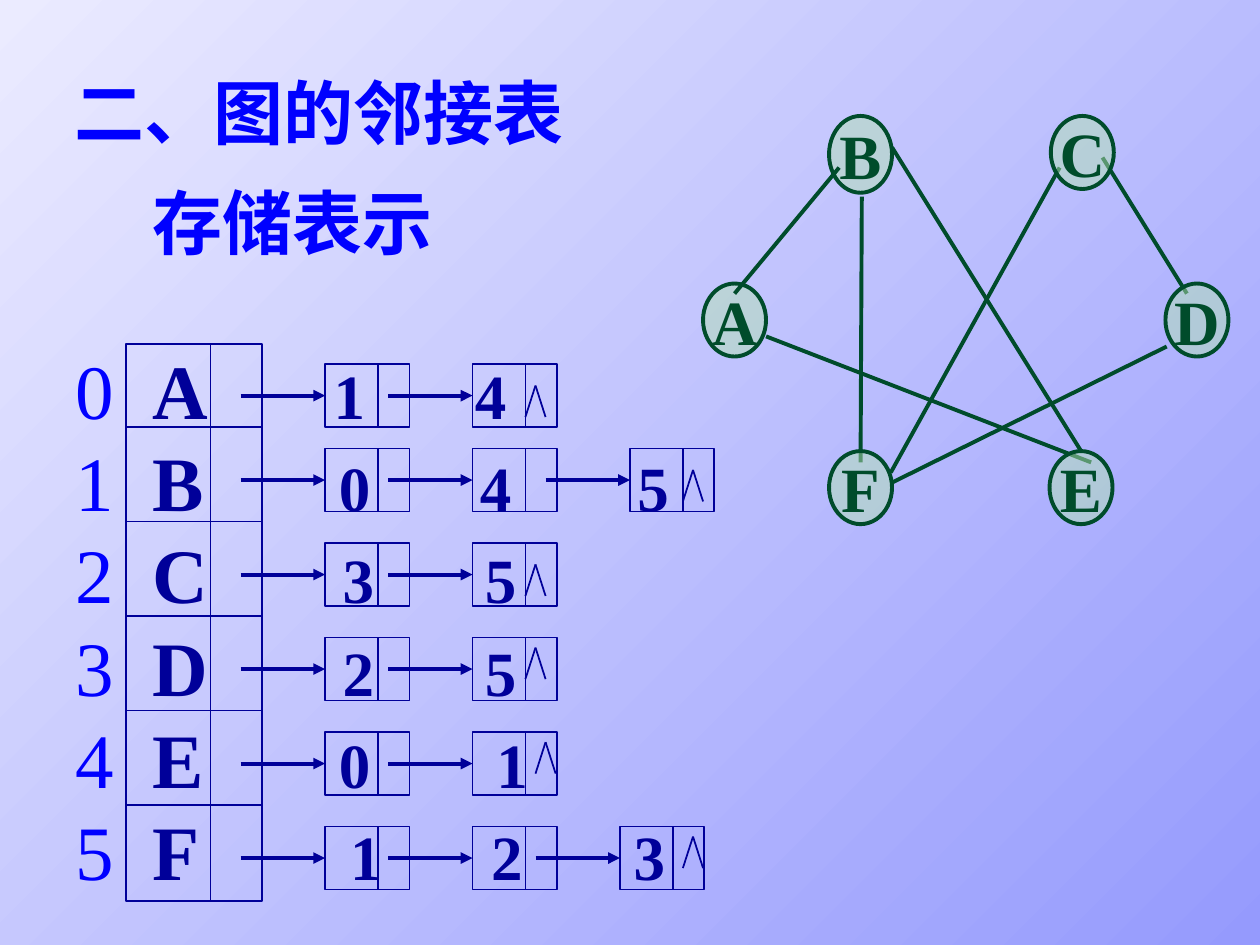
from dataclasses import dataclass

from lxml import etree
from pptx import Presentation
from pptx import util as u
from pptx.dml.color import RGBColor
from pptx.enum import shapes, text
from pptx.oxml.ns import qn


@dataclass(frozen=True)
class Theme:
    font: str = "Times New Roman"
    blue: str = "0000FF"
    navy: str = "000099"
    green: str = "004C2B"
    mint: str = "B3E1B3"
    dark: str = "959AFD"
    light: str = "EBEBFF"
    title_size: float = 40
    header_size: float = 44
    label_size: float = 36
    title_pitch: float = 62.6
    row_pitch: float = 52.7
    thin: float = 1
    thick: float = 2.25


THEME = Theme()
NODE_WIDTH, NODE_HEIGHT, LINK_LENGTH = 0.67, 0.5, 0.67
TABLE_LEFT, TABLE_TOP, TABLE_WIDTH, TABLE_HEIGHT = 1, 2.73, 1.08, 4.42
TEXT_LEFT = 0.6
LETTER_LEFT = 1.21

ROWS = [
    ("A", 2.89, [2.58, 3.75], "14", [2.65, 3.77], (4.25, 3.06)),
    ("B", 3.56, [2.58, 3.75, 5], "045", [2.69, 3.81, 5.06], (5.5, 3.73)),
    ("C", 4.31, [2.58, 3.75], "35", [2.72, 3.85], (4.25, 4.48)),
    ("D", 5.06, [2.58, 3.75], "25", [2.72, 3.85], (4.25, 5.14)),
    ("E", 5.81, [2.58, 3.75], "01", [2.69, 3.94], (4.33, 5.89)),
    ("F", 6.56, [2.58, 3.75, 4.92], "123", [2.78, 3.9, 5.03], (5.5, 6.64)),
]
BACK_VERTICES = [("B", 6.58, 0.92, 0.61), ("A", 5.58, 2.25, 0.58)]
FRONT_VERTICES = [
    ("C", 8.34, 0.92, 0.58),
    ("D", 9.25, 2.25, 0.58),
    ("F", 6.58, 3.58, 0.58),
    ("E", 8.33, 3.58, 0.58),
]
EDGES = [
    ((6.66, 1.33), (5.83, 2.33)),
    ((7.08, 1.17), (8.58, 3.58)),
    ((6.08, 2.67), (8.66, 3.67)),
    ((8.41, 1.33), (7.07, 3.75)),
    ((8.75, 1.25), (9.42, 2.33)),
    ((9.26, 2.75), (7.08, 3.83)),
    ((6.84, 1.56), (6.83, 3.67)),
]


def apply(target, values):
    for name, value in values.items():
        setattr(target, name, value)


def lengths(*values):
    return [u.Inches(value) for value in values]


def add_span(para, words, size, color, bold=True):
    span = para.add_run()
    span.text = words
    apply(span.font, {"name": THEME.font, "size": u.Pt(size), "bold": bold})
    span.font.color.rgb = RGBColor.from_string(color)


def add_text_box(page, place, count, pitch):
    box = page.shapes.add_textbox(*lengths(*place))
    frame = box.text_frame
    apply(frame, {"word_wrap": True, "auto_size": text.MSO_AUTO_SIZE.SHAPE_TO_FIT_TEXT})
    for _ in range(count - 1):
        frame.add_paragraph()
    for para in frame.paragraphs:
        para.line_spacing = u.Pt(pitch)
    return frame.paragraphs


def add_tabs(para, stops):
    tabs = etree.SubElement(para._p.get_or_add_pPr(), qn("a:tabLst"))
    for stop in stops:
        etree.SubElement(tabs, qn("a:tab"), pos=str(u.Inches(stop - TEXT_LEFT)), algn="l")


def set_line(shape, color, width):
    shape.line.color.rgb = RGBColor.from_string(color)
    shape.line.width = u.Pt(width)


def add_line(page, start, end, color=THEME.navy, width=THEME.thin, arrow=False):
    line = page.shapes.add_connector(shapes.MSO_CONNECTOR.STRAIGHT, *lengths(*start, *end))
    set_line(line, color, width)
    if arrow:
        etree.SubElement(line.line._get_or_add_ln(), qn("a:tailEnd"), type="triangle")
    etree.SubElement(line._element.spPr, qn("a:effectLst"))
    return line


def add_frame(page, *place):
    box = page.shapes.add_shape(shapes.MSO_SHAPE.RECTANGLE, *lengths(*place))
    box.shadow.inherit = False
    box.fill.background()
    set_line(box, THEME.navy, THEME.thin)
    return box


def add_node(page, left, top):
    box = add_frame(page, left, top, NODE_WIDTH, NODE_HEIGHT)
    divider = left + 0.42
    add_line(page, (divider, top), (divider, top + NODE_HEIGHT))
    middle = top + NODE_HEIGHT / 2
    arrow = add_line(page, (left - LINK_LENGTH, middle), (left, middle),
                     width=THEME.thick, arrow=True)
    arrow.end_connect(box, 1)


def add_null_mark(page, apex):
    for offset in (-0.08, 0.08):
        add_line(page, apex, (apex[0] + offset, apex[1] + 0.25))


def add_vertex(page, name, left, top, height):
    vertex = page.shapes.add_shape(shapes.MSO_SHAPE.OVAL, *lengths(left, top, 0.5, height))
    vertex.shadow.inherit = False
    vertex.fill.solid()
    vertex.fill.fore_color.rgb = RGBColor.from_string(THEME.mint)
    color = vertex._element.spPr.find(qn("a:solidFill"))[0]
    etree.SubElement(color, qn("a:alpha"), val="50000")
    set_line(vertex, THEME.green, THEME.thick)
    frame = vertex.text_frame
    apply(frame, {"word_wrap": False, "vertical_anchor": text.MSO_ANCHOR.MIDDLE})
    para = frame.paragraphs[0]
    para.alignment = text.PP_ALIGN.CENTER
    add_span(para, name, THEME.label_size, THEME.green)


def add_background(page):
    fill = page.background.fill
    fill.gradient()
    fill.gradient_angle = 135
    for stop, position, color in zip(fill.gradient_stops, (0, 1), (THEME.dark, THEME.light)):
        stop.position = position
        stop.color.rgb = RGBColor.from_string(color)


def add_list_text(page):
    paras = add_text_box(page, (0.5, 2.67, 5.42, 4.5), len(ROWS), THEME.row_pitch)
    for index, (para, row) in enumerate(zip(paras, ROWS)):
        letter, _, _, numbers, stops, _ = row
        add_tabs(para, [LETTER_LEFT, *stops])
        add_span(para, str(index), THEME.header_size, THEME.blue, bold=False)
        add_span(para, "\t" + letter, THEME.header_size, THEME.navy)
        add_span(para, "".join("\t" + number for number in numbers),
                 THEME.label_size, THEME.navy)


def add_header_table(page):
    add_frame(page, TABLE_LEFT, TABLE_TOP, TABLE_WIDTH, TABLE_HEIGHT)
    for index in range(len(ROWS) - 1):
        level = 3.39 + 0.75 * index
        add_line(page, (TABLE_LEFT, level), (TABLE_LEFT + TABLE_WIDTH, level))
    add_line(page, (1.67, TABLE_TOP), (1.67, TABLE_TOP + TABLE_HEIGHT))


def add_graph(page):
    for vertex in BACK_VERTICES:
        add_vertex(page, *vertex)
    for start, end in EDGES:
        add_line(page, start, end, THEME.green, THEME.thick)
    for vertex in FRONT_VERTICES:
        add_vertex(page, *vertex)


def add_title(page):
    lines = ["二、图的邻接表", "存储表示"]
    paras = add_text_box(page, (0.49, 0.3, 4.34, 1.84), len(lines), THEME.title_pitch)
    for para, words in zip(paras, lines):
        add_span(para, words, THEME.title_size, THEME.blue)
    paras[1]._p.get_or_add_pPr().set("marL", str(u.Inches(0.62)))


def main():
    deck = Presentation()
    apply(deck, {"slide_width": u.Inches(10), "slide_height": u.Inches(7.5)})
    page = deck.slides.add_slide(deck.slide_layouts[6])
    add_background(page)
    add_list_text(page)
    add_header_table(page)
    for _, top, lefts, _, _, apex in ROWS:
        for left in lefts:
            add_node(page, left, top)
        add_null_mark(page, apex)
    add_graph(page)
    add_title(page)
    deck.save("out.pptx")


if __name__ == "__main__":
    main()
